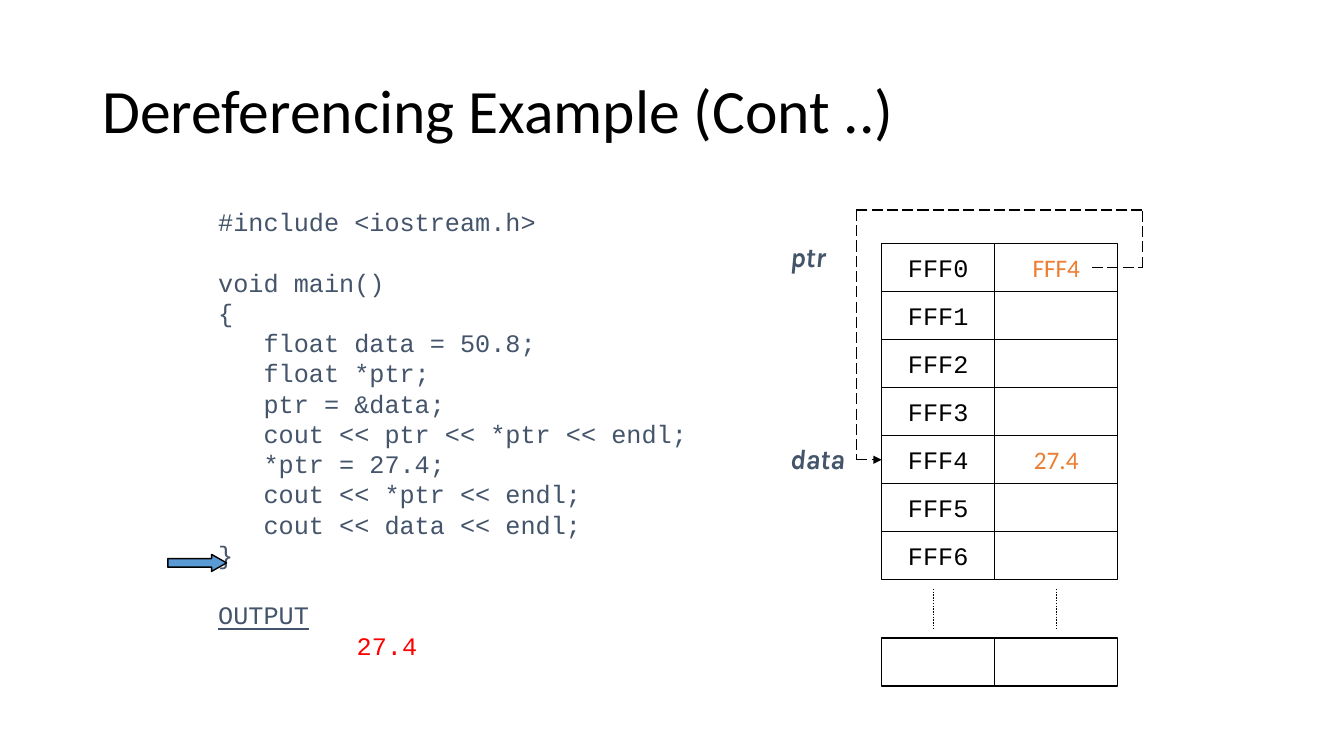
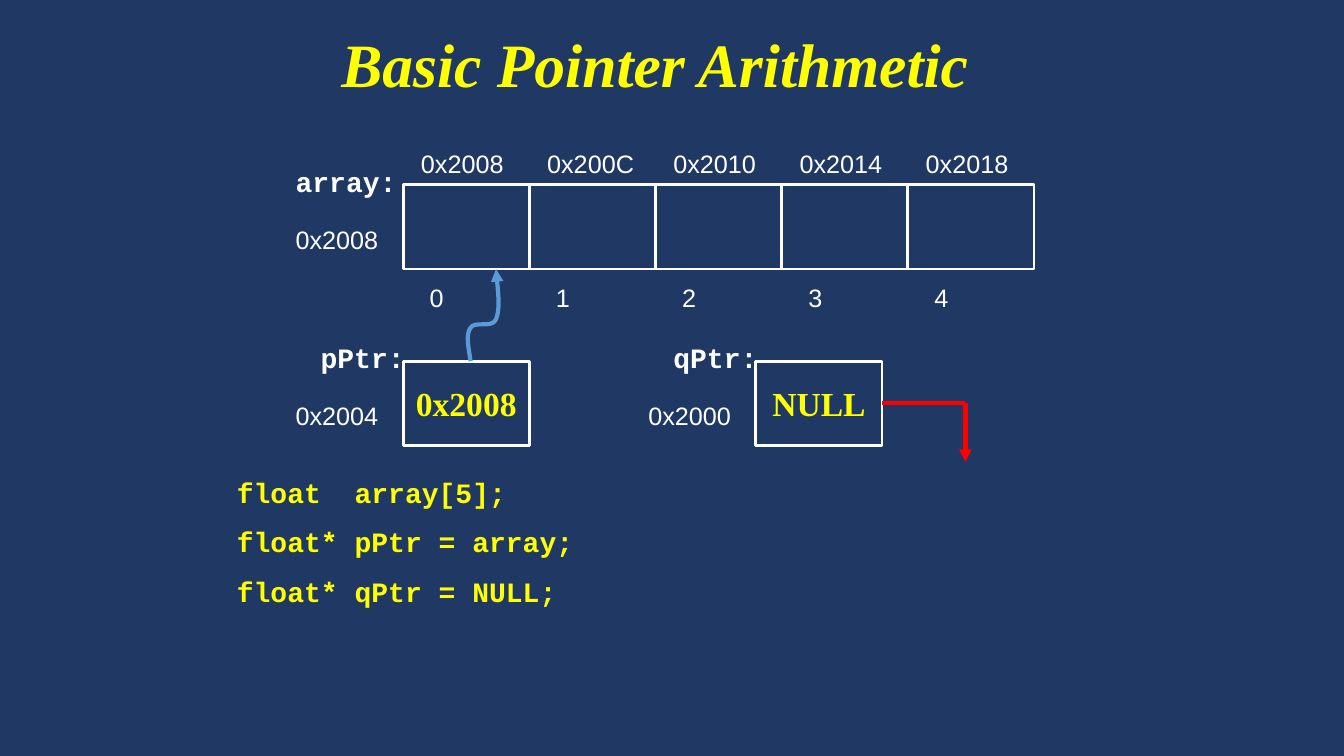
from dataclasses import dataclass
from itertools import pairwise

from lxml import etree
from pptx import Presentation
from pptx.dml.color import RGBColor
from pptx.enum import dml, shapes, text
from pptx.oxml.ns import qn
from pptx.util import Cm, Pt


@dataclass(frozen=True)
class Style:
    font: str
    size: float
    color: str
    bold: bool = False
    italic: bool = False


class Theme:
    white, black, navy = "FFFFFF", "000000", "203864"
    slate, orange, red = "44546A", "ED7D31", "FF0000"
    blue, yellow = "5B9BD5", "FFFF00"
    thin, medium, thick = 1, 2, 3
    code_line = 21.6
    statement_gap = 11.3

    plain_title = Style("Calibri", 44, black)
    serif_title = Style("Times New Roman", 44, yellow, True, True)
    code = Style("Courier New", 18, slate)
    statement = Style("Courier New", 20, yellow, True)
    cell_address = Style("Courier New", 18, black)
    cell_value = Style("Calibri", 18, orange)
    variable = Style("Karla", 20, slate, True, True)
    name = Style("Courier New", 20, white, True)
    address = Style("Arial", 18, white)
    pointer_value = Style("Times New Roman", 24, yellow, True)


def rgb(color):
    return RGBColor.from_string(color)


def style_paragraph(paragraph, style):
    font = paragraph.font
    font.name, font.size = style.font, Pt(style.size)
    font.bold, font.italic = style.bold, style.italic
    font.color.rgb = rgb(style.color)


def add_text(slide, box, lines, style, side_inset=0.25):
    """Write lines into a text box; box is left, top, width, height in cm."""
    frame = slide.shapes.add_textbox(*map(Cm, box)).text_frame
    frame.word_wrap = True
    frame.margin_left = frame.margin_right = Cm(side_inset)
    frame.text = "\n".join(lines)
    for paragraph in frame.paragraphs:
        style_paragraph(paragraph, style)
    return frame


def add_title(slide, box, wording, style, align=text.PP_ALIGN.LEFT):
    frame = add_text(slide, box, [wording], style)
    frame.vertical_anchor = text.MSO_ANCHOR.MIDDLE
    frame.paragraphs[0].alignment = align
    return frame


def set_line(line, color, width, dash=None, arrow=False):
    line.color.rgb = rgb(color)
    line.width = Pt(width)
    if dash:
        line.dash_style = dash
    if arrow:
        etree.SubElement(line._get_or_add_ln(), qn("a:tailEnd"), type="triangle")


def add_cell(slide, box, color, width, wording="", style=None):
    cell = slide.shapes.add_shape(shapes.MSO_SHAPE.RECTANGLE, *map(Cm, box))
    cell.shadow.inherit = False
    cell.fill.background()
    set_line(cell.line, color, width)
    if wording:
        frame = cell.text_frame
        frame.word_wrap = False
        frame.vertical_anchor = text.MSO_ANCHOR.MIDDLE
        frame.text = wording
        frame.paragraphs[0].alignment = text.PP_ALIGN.CENTER
        style_paragraph(frame.paragraphs[0], style)
    return cell


def add_route(slide, points, color, width, dash=None, arrow=False):
    """Draw straight connectors through points, the arrowhead on the last."""
    segments = []
    for (x1, y1), (x2, y2) in pairwise(points):
        segment = slide.shapes.add_connector(
            shapes.MSO_CONNECTOR.STRAIGHT, Cm(x1), Cm(y1), Cm(x2), Cm(y2))
        etree.SubElement(segment._element.spPr, qn("a:effectLst"))
        is_last = len(segments) == len(points) - 2
        set_line(segment.line, color, width, dash, arrow and is_last)
        segments.append(segment)
    return segments


def add_curve(slide, points, color, width):
    """Draw a Bezier arrow: a start, then groups of two controls and an end."""
    start, *rest = [(Cm(x), Cm(y)) for x, y in points]
    builder = slide.shapes.build_freeform(*start)
    builder.add_line_segments(rest, close=False)
    curve = builder.convert_to_shape()
    steps = list(curve._element.iter(qn("a:lnTo")))
    for first in range(0, len(steps), 3):
        bezier = etree.Element(qn("a:cubicBezTo"))
        steps[first].addprevious(bezier)
        for step in steps[first:first + 3]:
            bezier.append(step[0])
            step.getparent().remove(step)
    curve.shadow.inherit = False
    curve.fill.background()
    set_line(curve.line, color, width, arrow=True)


def add_program(slide, box):
    blocks = (
        ["#include <iostream.h>"],
        ["void main()", "{", "   float data = 50.8;", "   float *ptr;",
         "   ptr = &data;", "   cout << ptr << *ptr << endl;",
         "   *ptr = 27.4;", "   cout << *ptr << endl;",
         "   cout << data << endl;", "}"],
        ["OUTPUT", "27.4"],
    )
    lines = [line for block in blocks for line in block]
    frame = add_text(slide, box, lines, Theme.code, side_inset=0)
    for paragraph in frame.paragraphs:
        paragraph.line_spacing = Pt(Theme.code_line)
    for block in blocks[1:]:
        opening = frame.paragraphs[lines.index(block[0])]
        opening.space_before = Pt(Theme.code_line)
    heading, result = frame.paragraphs[-2:]
    heading.font.underline = True
    result.font.color.rgb = rgb(Theme.red)
    result._p.get_or_add_pPr().set("marL", str(Cm(3.49)))

    left, top = box[:2]
    marker = slide.shapes.add_shape(
        shapes.MSO_SHAPE.RIGHT_ARROW,
        Cm(left - 1.27), Cm(top + 8.89), Cm(1.48), Cm(0.43))
    marker.adjustments[0], marker.adjustments[1] = 0.5, 0.875
    marker.shadow.inherit = False
    marker.fill.solid()
    marker.fill.fore_color.rgb = rgb(Theme.blue)
    set_line(marker.line, Theme.black, Theme.thin)


def add_memory(slide, left, top):
    row_height, address_width, value_width = 1.21, 2.85, 3.1
    split = left + address_width
    right = split + value_width
    values = {0: "FFF4", 4: "27.4"}

    def add_row(y, address="", value=""):
        address_cell = add_cell(
            slide, (left, y, address_width, row_height), Theme.black,
            Theme.thin, address, Theme.cell_address)
        add_cell(slide, (split, y, value_width, row_height), Theme.black,
                 Theme.thin, value, Theme.cell_value)
        return address_cell

    rows = [add_row(top + i * row_height, f"FFF{i}", values.get(i, ""))
            for i in range(7)]
    add_row(top + 9.94)
    for x in (left + 1.3, split + 1.55):
        add_route(slide, [(x, top + 8.7), (x, top + 9.74)], Theme.black,
                  Theme.thin, dml.MSO_LINE.ROUND_DOT)
    for y, variable in ((top - 0.22, "ptr"), (top + 4.86, "data")):
        add_text(slide, (left - 2.31, y, 1.9, 1.09), [variable],
                 Theme.variable, side_inset=0)

    ptr_y, data_y = (top + (i + 0.5) * row_height for i in values)
    loop_left, loop_right, loop_top = left - 0.64, right + 0.62, top - 0.85
    loop = [(right - 0.65, ptr_y), (loop_right, ptr_y), (loop_right, loop_top),
            (loop_left, loop_top), (loop_left, data_y), (left, data_y)]
    segments = add_route(slide, loop, Theme.black, Theme.thin,
                         dml.MSO_LINE.LONG_DASH, arrow=True)
    segments[-1].end_connect(rows[4], 1)


CELL_WIDTH, CELL_HEIGHT = 3.18, 2.12


def add_variable(slide, left, top, name, address, values, name_shift=-2.33):
    """Draw a variable's name, its address and one cell for each value."""
    add_text(slide, (left + name_shift, top - 0.64, 3.39, 1.09), [name], Theme.name)
    add_text(slide, (left - 2.96, top + 0.86, 2.75, 1.02), [address], Theme.address)
    return [add_cell(slide, (left + i * CELL_WIDTH, top, CELL_WIDTH, CELL_HEIGHT),
                     Theme.white, Theme.medium, value, Theme.pointer_value)
            for i, value in enumerate(values)]


def add_array(slide, left, top):
    addresses = ("0x2008", "0x200C", "0x2010", "0x2014", "0x2018")
    add_variable(slide, left, top, "array:", addresses[0],
                 [""] * len(addresses), name_shift=-2.96)
    for i, address in enumerate(addresses):
        x = left + i * CELL_WIDTH
        add_text(slide, (x + 0.2, top - 1.05, 2.75, 1.02), [address], Theme.address)
        add_text(slide, (x + 0.42, top + 2.33, 0.9, 1.02), [str(i)], Theme.address)


def add_array_pointer(slide, left, top):
    add_variable(slide, left, top, "pPtr:", "0x2004", ["0x2008"])
    bends = ((1.7, 0), (1.65, -0.34), (1.57, -0.67), (1.7, -0.84),
             (1.8, -1.02), (2.24, -0.82), (2.34, -1.05),
             (2.44, -1.3), (2.39, -1.81), (2.34, -2.32))
    add_curve(slide, [(left + x, top + y) for x, y in bends],
              Theme.blue, Theme.thick)


def add_null_pointer(slide, left, top):
    [null_cell] = add_variable(slide, left, top, "qPtr:", "0x2000", ["NULL"])
    start, middle = left + CELL_WIDTH, top + CELL_HEIGHT / 2
    corner = start + 2.1
    segments = add_route(
        slide, [(start, middle), (corner, middle), (corner, middle + 1.48)],
        Theme.red, Theme.thick, arrow=True)
    segments[0].begin_connect(null_cell, 3)


def add_statements(slide, box):
    frame = add_text(slide, box, ["float  array[5];", "float* pPtr = array;",
                                  "float* qPtr = NULL;"], Theme.statement)
    for paragraph in frame.paragraphs[1:]:
        paragraph.space_before = Pt(Theme.statement_gap)


def add_slide(deck, background):
    slide = deck.slides.add_slide(deck.slide_layouts[6])
    slide.background.fill.solid()
    slide.background.fill.fore_color.rgb = rgb(background)
    return slide


def build_dereferencing(deck):
    slide = add_slide(deck, Theme.white)
    title = add_title(slide, (2.33, 1.01, 29.21, 3.68),
                      "Dereferencing Example (Cont ..)", Theme.plain_title)
    title.paragraphs[0].line_spacing = 0.9
    add_memory(slide, 22.22, 6.14)
    add_program(slide, (5.5, 5.08, 14.18, 12.9))


def build_arithmetic(deck):
    slide = add_slide(deck, Theme.navy)
    add_title(slide, (5.72, 0, 21.59, 3.18), "Basic Pointer Arithmetic",
              Theme.serif_title, text.PP_ALIGN.CENTER)
    add_array(slide, 10.16, 4.66)
    add_array_pointer(slide, 10.16, 9.1)
    add_null_pointer(slide, 19.05, 9.1)
    add_statements(slide, (5.72, 11.85, 12.07, 6.17))


def main():
    deck = Presentation()
    deck.slide_width, deck.slide_height = Cm(33.87), Cm(19.05)
    build_dereferencing(deck)
    build_arithmetic(deck)
    deck.save("out.pptx")


if __name__ == "__main__":
    main()
